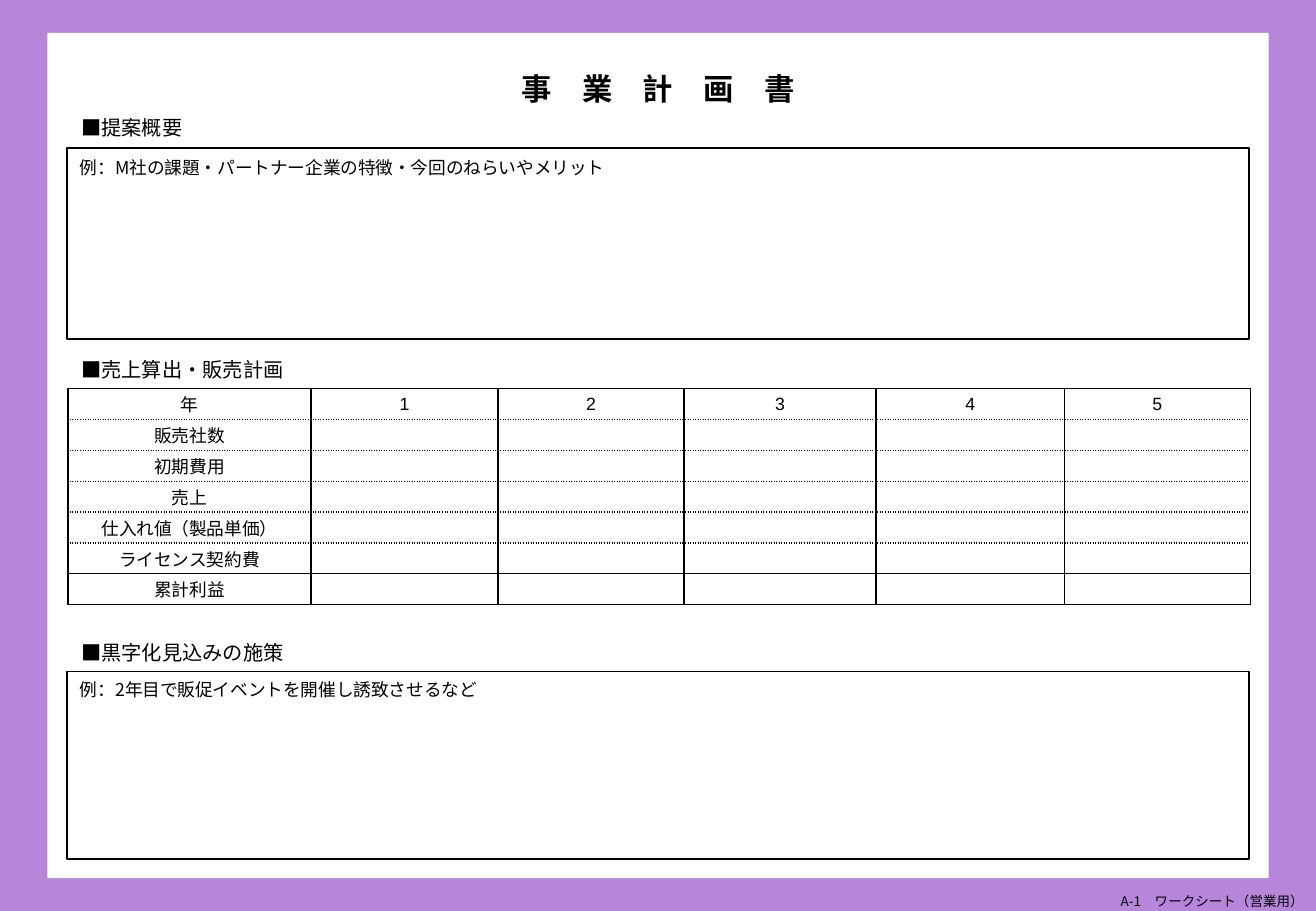
"""Build the one-page business plan worksheet."""
from dataclasses import dataclass

from lxml.etree import SubElement
from pptx import Presentation
from pptx.dml.color import RGBColor
from pptx.enum.shapes import MSO_SHAPE
from pptx.enum.text import MSO_ANCHOR, MSO_AUTO_SIZE, PP_ALIGN
from pptx.oxml import parse_xml
from pptx.oxml.ns import nsdecls, qn
from pptx.util import Inches, Pt

SANS = "Noto Sans CJK JP"
BLACK, WHITE, PURPLE = "000000", "FFFFFF", "B686DA"
COLS = (2, 1.54, 1.53, 1.58, 1.55, 1.53)
ROWS = ("年", "販売社数", "初期費用", "売上", "仕入れ値（製品単価）", "ライセンス契約費", "累計利益")
ROW_H = 0.254
TOTAL = len(ROWS) - 1


@dataclass
class Label:
    text: str
    left: float
    top: float
    width: float
    height: float = 0.3
    size: float = 12
    align: PP_ALIGN = PP_ALIGN.LEFT
    anchor: MSO_ANCHOR = MSO_ANCHOR.TOP
    fit: MSO_AUTO_SIZE = MSO_AUTO_SIZE.SHAPE_TO_FIT_TEXT


@dataclass
class Box:
    left: float
    top: float
    width: float
    height: float
    edge: bool = True


BOXES = (Box(0.55, 1.22, 9.73, 1.57), Box(0.55, 5.53, 9.73, 1.54))
LABELS = (
    Label("■提案概要", 0.57, 0.9, 1.04),
    Label("■売上算出・販売計画", 0.57, 2.89, 1.88),
    Label("■黒字化見込みの施策", 0.57, 5.22, 1.88),
    Label("例：M社の課題・パートナー企業の特徴・今回のねらいやメリット", 0.56, 1.24, 4.61, 0.28, 10.5),
    Label("例：2年目で販促イベントを開催し誘致させるなど", 0.56, 5.54, 3.68, 0.28, 10.5),
    Label("A-1　ワークシート（営業用）", 9.39, 7.34, 1.44, 0.16, 8,
          PP_ALIGN.RIGHT, MSO_ANCHOR.MIDDLE, MSO_AUTO_SIZE.NONE),
)


def paint(fill, tint: str) -> None:
    fill.solid()
    fill.fore_color.rgb = RGBColor.from_string(tint)


def apply(item, form: dict) -> None:
    for name, value in form.items():
        setattr(item, name, value)


def write(para, text: str, size: float, face: str = SANS, bold: bool = False) -> None:
    run = para.add_run()
    run.text = text
    apply(run.font, {"size": Pt(size), "name": face, "bold": bold})
    paint(run.font.fill, BLACK)
    SubElement(run.font._element, qn("a:ea")).set("typeface", SANS)


def draw_box(slide, box: Box):
    rect = slide.shapes.add_shape(
        MSO_SHAPE.RECTANGLE, *map(Inches, (box.left, box.top, box.width, box.height)))
    rect.shadow.inherit = False
    paint(rect.fill, WHITE)
    if box.edge:
        paint(rect.line.fill, BLACK)
        rect.line.width = Pt(1)
    else:
        rect.line.fill.background()
    return rect


def draw_label(slide, label: Label) -> None:
    area = slide.shapes.add_textbox(
        *map(Inches, (label.left, label.top, label.width, label.height)))
    frame = area.text_frame
    apply(frame, {"word_wrap": False, "auto_size": label.fit,
                  "vertical_anchor": label.anchor})
    para = frame.paragraphs[0]
    para.alignment = label.align
    write(para, label.text, label.size)


def draw_title(slide) -> None:
    title = slide.shapes.title
    apply(title, {"left": Inches(0.81), "top": Inches(0.64),
                  "width": Inches(9.21), "height": Inches(0.29)})
    apply(title.text_frame, {"vertical_anchor": MSO_ANCHOR.BOTTOM, "word_wrap": True,
                             "auto_size": MSO_AUTO_SIZE.NONE})
    para = title.text_frame.paragraphs[0]
    apply(para, {"alignment": PP_ALIGN.CENTER, "line_spacing": 0.9})
    write(para, "事　業　計　画　書", 18, bold=True)


def rule(cell, row: int) -> None:
    top = "solid" if row in (0, TOTAL) else "sysDot"
    base = "solid" if row >= TOTAL - 1 else "sysDot"
    props = cell._tc.get_or_add_tcPr()
    for spot, (side, dash) in enumerate(zip("LRTB", ("solid", "solid", top, base))):
        props.insert(spot, parse_xml(
            f'<a:ln{side} {nsdecls("a")} w="{Pt(1)}"><a:solidFill>'
            f'<a:srgbClr val="{BLACK}"/></a:solidFill>'
            f'<a:prstDash val="{dash}"/></a:ln{side}>'))


def draw_table(slide) -> None:
    table = slide.shapes.add_table(
        len(ROWS), len(COLS),
        *map(Inches, (0.56, 3.2, sum(COLS), ROW_H * len(ROWS)))).table
    apply(table, {"first_row": False, "horz_banding": False})
    for col, width in zip(table.columns, COLS):
        col.width = Inches(width)
    for row, name in enumerate(ROWS):
        table.rows[row].height = Inches(ROW_H)
        for col in range(len(COLS)):
            cell = table.cell(row, col)
            apply(cell, {"margin_left": 0, "margin_right": 0, "margin_top": 0,
                         "margin_bottom": 0, "vertical_anchor": MSO_ANCHOR.MIDDLE})
            paint(cell.fill, WHITE)
            rule(cell, row)
            para = cell.text_frame.paragraphs[0]
            para.alignment = PP_ALIGN.CENTER
            text = name if col == 0 else str(col) if row == 0 else ""
            if text:
                write(para, text, 10.5, "Arial")
            else:
                SubElement(para._p, qn("a:endParaRPr")).set("sz", "1050")


def main() -> None:
    deck = Presentation()
    apply(deck, {"slide_width": Inches(10.83), "slide_height": Inches(7.5)})
    slide = deck.slides.add_slide(deck.slide_layouts[5])
    paint(slide.background.fill, PURPLE)
    page = draw_box(slide, Box(0.39, 0.27, 10.05, 6.96, False))
    slide.shapes.title.element.addprevious(page.element)
    draw_title(slide)
    for box in BOXES:
        draw_box(slide, box)
    draw_table(slide)
    for label in LABELS:
        draw_label(slide, label)
    deck.save("out.pptx")


if __name__ == "__main__":
    main()
